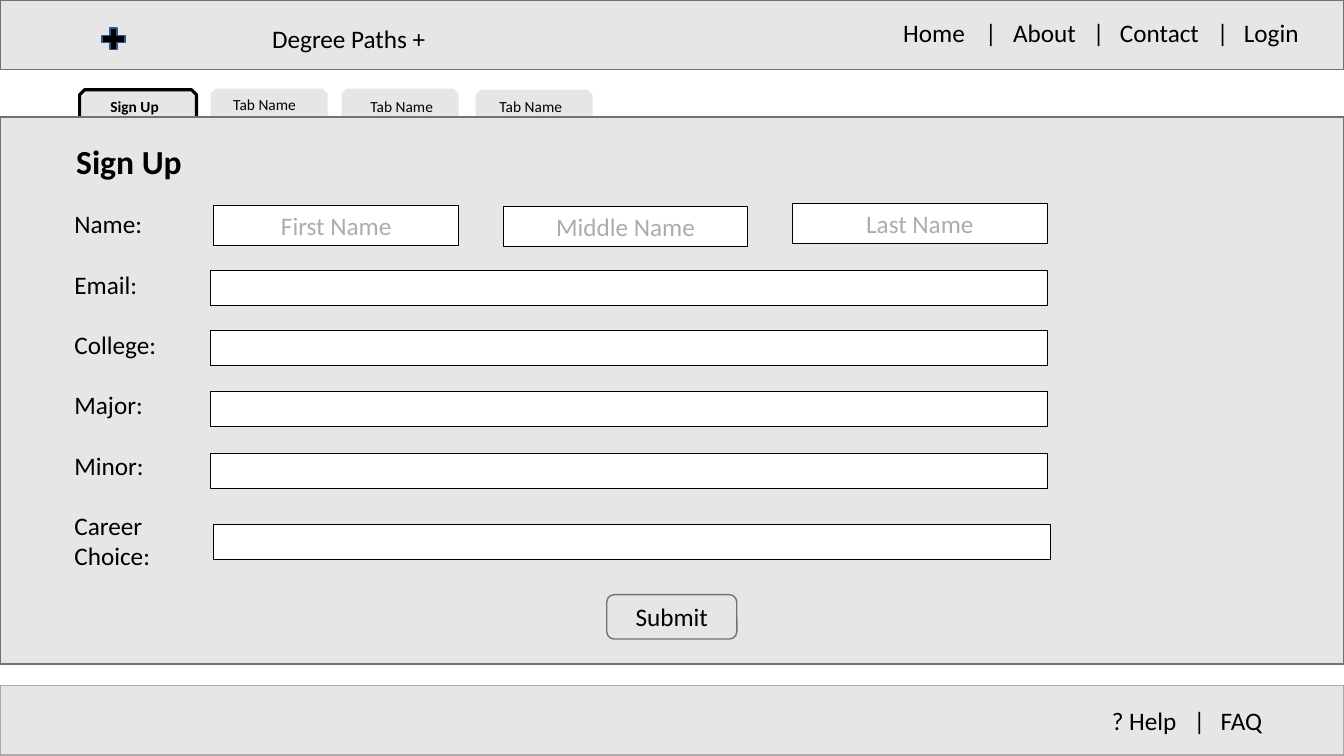
from lxml import etree
from pptx import Presentation
from pptx import util as u
from pptx.dml.color import RGBColor
from pptx.enum import shapes, text
from pptx.oxml import ns

COLOURS = {"panel": "E7E6E6", "edge": "767171", "soft": "AFABAB",
           "ink": "000000", "paper": "FFFFFF", "blue": "325491"}
SHAPE = shapes.MSO_SHAPE
LEFT, CENTRE = text.PP_ALIGN.LEFT, text.PP_ALIGN.CENTER
TOP, MIDDLE = text.MSO_ANCHOR.TOP, text.MSO_ANCHOR.MIDDLE
COLUMNS, ROWS = 133.33, 75


class Wireframe:
    """Draws form elements on a page; places are (column, row, columns, rows)."""

    def __init__(self, deck):
        self.page = deck.slides.add_slide(deck.slide_layouts[6])
        self.column = deck.slide_width / COLUMNS
        self.row = deck.slide_height / ROWS

    def place(self, left, top, width, height):
        return [round(size * unit) for size, unit in
                zip((left, top, width, height), (self.column, self.row) * 2)]

    def shape(self, kind, place, fill="panel", line=None, weight=1.0):
        box = self.page.shapes.add_shape(kind, *self.place(*place))
        box.shadow.inherit = False
        box.fill.solid()
        box.fill.fore_color.rgb = RGBColor.from_string(COLOURS[fill])
        if line:
            box.line.color.rgb = RGBColor.from_string(COLOURS[line])
            box.line.width = u.Pt(weight)
        else:
            box.line.fill.background()
        return box

    def fill_text(self, box, lines, size=18, bold=False, colour="ink", align=CENTRE,
                  anchor=TOP, gaps=(), **frame_format):
        frame = box.text_frame
        frame_format = {"word_wrap": True, "vertical_anchor": anchor} | frame_format
        for name, value in frame_format.items():
            setattr(frame, name, value)
        frame.text = "\n".join(lines)
        font_format = {"name": "Calibri", "size": u.Pt(size), "bold": bold}
        for index, para in enumerate(frame.paragraphs):
            para.alignment = align
            if index in gaps:
                para.space_before = u.Pt(21.5)
            for span in para.runs:
                for name, value in font_format.items():
                    setattr(span.font, name, value)
                span.font.color.rgb = RGBColor.from_string(COLOURS[colour])

    def label(self, place, *lines, **style):
        box = self.page.shapes.add_textbox(*self.place(*place))
        self.fill_text(box, lines, auto_size=text.MSO_AUTO_SIZE.SHAPE_TO_FIT_TEXT, **style)
        return box

    def menu(self, place, inset, items, stops):
        """Sets items split by bars; stops alternate between bar and item."""
        box = self.label(place, "\t|\t".join(items), align=LEFT,
                         margin_left=round(inset * self.column))
        properties = box.text_frame.paragraphs[0]._p.get_or_add_pPr()
        tabs = etree.SubElement(properties, ns.qn("a:tabLst"))
        for index, stop in enumerate(stops):
            etree.SubElement(tabs, ns.qn("a:tab"), pos=str(round(stop * self.column)),
                             algn="l" if index % 2 else "ctr")

    def bar(self, top, height, line="edge"):
        self.shape(SHAPE.RECTANGLE, (0, top, COLUMNS, height), line=line)

    def tab(self, left, top, **outline):
        self.shape(SHAPE.SNIP_2_SAME_RECTANGLE, (left, top, 11.6, 3), **outline)

    def field(self, place, hint=None):
        box = self.shape(SHAPE.RECTANGLE, place, "paper", "ink", 0.75)
        if hint:
            self.fill_text(box, [hint], colour="soft")

    def button(self, place, caption):
        box = self.shape(SHAPE.ROUNDED_RECTANGLE, place, line="edge")
        self.fill_text(box, [caption], anchor=MIDDLE)


def build_sign_up(form):
    # Header and footer
    form.bar(0, 6.9)
    form.menu((85.7, 1.2, 47.7, 4), 3.9, ["Home", "About", "Contact", "Login"],
              [8.7, 10.9, 19.4, 21.5, 31.7, 33.8])
    form.label((14.2, 1.8, 40.8, 4), "Degree Paths +")
    form.shape(SHAPE.MATH_PLUS, (9.7, 2.4, 3.1, 2.9), "ink", "blue")
    form.bar(68, 6.9, line="soft")
    form.menu((108.4, 69.5, 18.8, 4), 1.9, ["? Help", "FAQ"], [8.7, 10.8])

    # Tabs stand behind the panel, their captions in front
    form.tab(7.9, 8.9, line="ink", weight=2.25)
    for left, top in [(20.9, 8.8), (33.9, 8.8), (47.2, 8.9)]:
        form.tab(left, top)
    form.bar(11.6, 54.3)
    form.label((8.3, 9.1, 10.1, 2.9), "Sign Up", size=11, bold=True)
    for left, top in [(21.2, 8.9), (34.8, 9.1), (47.6, 9.1)]:
        form.label((left, top, 10.1, 2.9), "Tab Name", size=11)

    # Form
    form.label((2.6, 13.5, 20.4, 5), "Sign Up", size=24, bold=True)
    form.label((6.4, 20.2, 120.9, 37.4), "Name:", "Email:", "College:", "Major:",
               "Minor:", "Career", "Choice:", align=LEFT, gaps=range(1, 6))
    for left, top, width, hint in [(21.2, 20.4, 24.3, "First Name"),
                                   (49.9, 20.5, 24.3, "Middle Name"),
                                   (78.6, 20.2, 25.3, "Last Name")]:
        form.field((left, top, width, 4), hint)
    for left, top in [(20.9, 26.8), (20.9, 32.8), (20.9, 38.8), (20.9, 45), (21.2, 52)]:
        form.field((left, top, 83, 3.5))
    form.button((60.2, 59, 12.9, 4.4), "Submit")


def main():
    deck = Presentation()
    deck.slide_width, deck.slide_height = u.Inches(13.33), u.Inches(7.5)
    build_sign_up(Wireframe(deck))
    deck.save("out.pptx")


if __name__ == "__main__":
    main()
